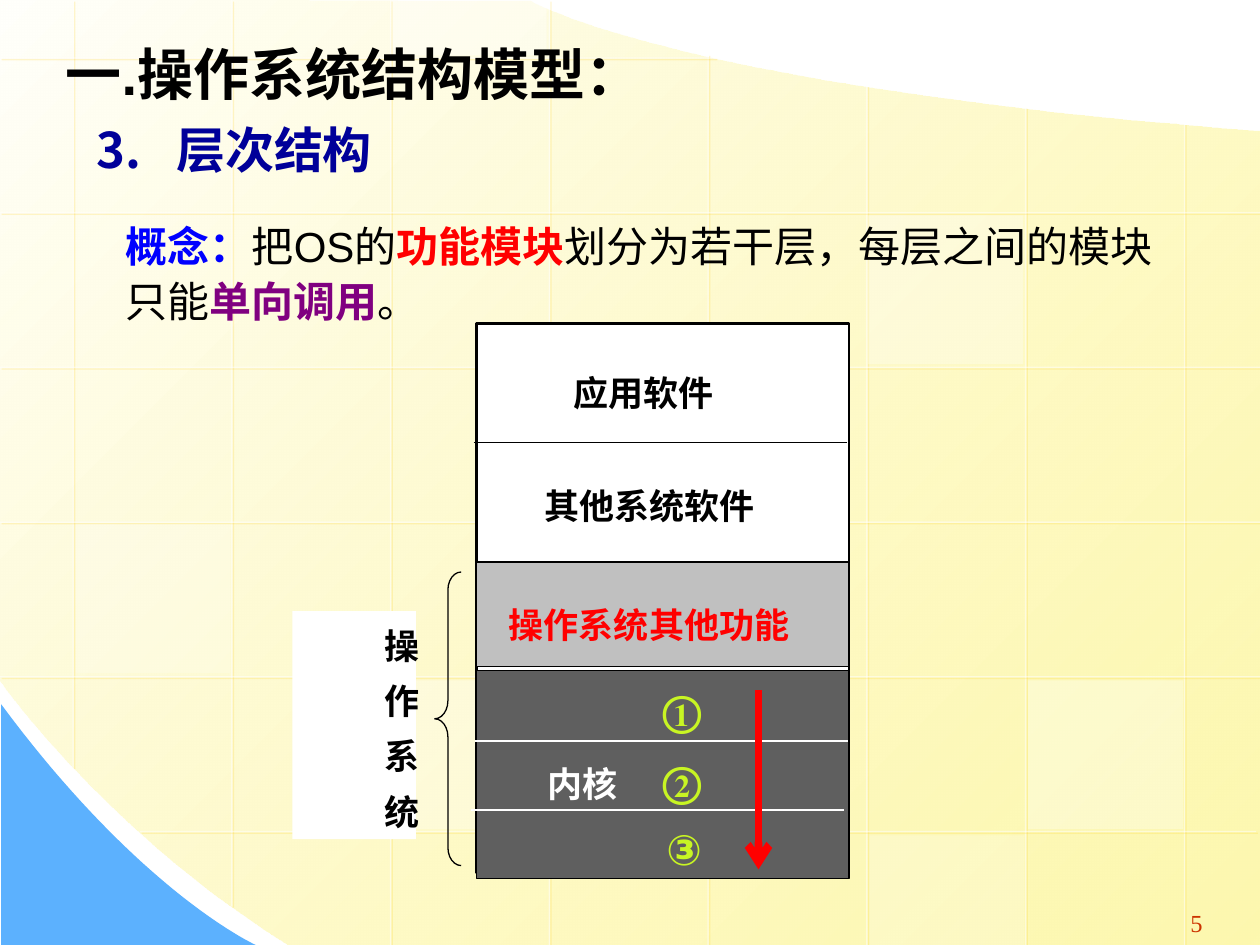
from lxml import etree
from pptx import Presentation
from pptx.dml.color import RGBColor
from pptx.enum.shapes import MSO_CONNECTOR, MSO_SHAPE
from pptx.enum.text import MSO_ANCHOR, PP_ALIGN
from pptx.oxml.ns import qn
from pptx.util import Inches, Pt

COLORS = {
    "white": "FFFFFF", "black": "000000", "cream": "FFFFFB", "yellow": "FDF58D",
    "sky": "5CB1FE", "gold": "FFCC00", "brick": "CC3300", "navy": "000099",
    "blue": "0000FF", "red": "FF0000", "purple": "800080", "lime": "C8F523",
    "silver": "C0C0C0", "gray": "5F5F5F",
}
SERIF = "Times New Roman"
SANS = "Arial"


def rgb(name):
    return RGBColor.from_string(COLORS[name])


def set_alpha(container, percent):
    for color in container.iter(qn("a:srgbClr")):
        etree.SubElement(color, qn("a:alpha")).set("val", str(percent * 1000))


def curve(start, control_1, control_2, end, steps=40):
    points = []
    for step in range(1, steps + 1):
        t = step / steps
        weights = ((1 - t) ** 3, 3 * t * (1 - t) ** 2, 3 * t * t * (1 - t), t ** 3)
        points.append(tuple(
            sum(weight * point[axis] for weight, point in
                zip(weights, (start, control_1, control_2, end)))
            for axis in (0, 1)))
    return points


def add_outline(slide, points):
    corners = [(Inches(x), Inches(y)) for x, y in points]
    builder = slide.shapes.build_freeform(*corners[0])
    builder.add_line_segments(corners[1:], close=True)
    shape = builder.convert_to_shape()
    shape.shadow.inherit = False
    shape.line.fill.background()
    return shape


def add_box(slide, box, fill=None, line=None, width=0.75, kind=MSO_SHAPE.RECTANGLE, alpha=None):
    shape = slide.shapes.add_shape(kind, *map(Inches, box))
    shape.shadow.inherit = False
    if fill:
        shape.fill.solid()
        shape.fill.fore_color.rgb = rgb(fill)
    else:
        shape.fill.background()
    if line:
        shape.line.color.rgb = rgb(line)
        shape.line.width = Pt(width)
    else:
        shape.line.fill.background()
    if alpha:
        set_alpha(shape.element.spPr, alpha)
    return shape


def add_line(slide, start, end, color, width):
    line = slide.shapes.add_connector(MSO_CONNECTOR.STRAIGHT, *map(Inches, start + end))
    line.line.color.rgb = rgb(color)
    line.line.width = Pt(width)
    etree.SubElement(line.element.spPr, qn("a:effectLst"))
    return line


def add_grid_line(slide, start, end):
    line = add_line(slide, start, end, "white", 0.75)
    effects = line.element.spPr.find(qn("a:effectLst"))
    shadow = etree.SubElement(effects, qn("a:outerShdw"), dist=str(Pt(1.4)), dir="2700000")
    etree.SubElement(shadow, qn("a:srgbClr"), val=COLORS["gold"])
    set_alpha(shadow, 34)
    set_alpha(line.element.spPr.find(qn("a:ln")), 50)


def format_runs(paragraph, size, font, color, bold=True):
    for run in paragraph.runs:
        run.font.size = Pt(size)
        run.font.name = font
        run.font.bold = bold
        run.font.color.rgb = rgb(color)


def indent(paragraph, left, first):
    properties = paragraph._p.get_or_add_pPr()
    properties.set("marL", str(Inches(left)))
    properties.set("indent", str(Inches(first)))


def add_text(slide, box, text, size, color, font=SERIF, bold=True, spacing=1.15,
             align=PP_ALIGN.JUSTIFY, left=1, first=-0.37, wrap=True):
    text_box = slide.shapes.add_textbox(*map(Inches, box))
    text_box.text_frame.word_wrap = wrap
    paragraph = text_box.text_frame.paragraphs[0]
    paragraph.text = text
    paragraph.alignment = align
    paragraph.line_spacing = spacing
    indent(paragraph, left, first)
    format_runs(paragraph, size, font, color, bold)
    return text_box


def add_background(slide):
    sheet = [(10, 1.04), (10, 7.5), (2.3, 7.5)]
    sheet += curve((2.3, 7.5), (0.86, 6.61), (-0.01, 5.39), (0, 5.39))
    sheet += [(-0.01, -0.01), (4.21, 0.01)]
    sheet += curve((4.21, 0.01), (4.21, 0.01), (5.37, 0.69), (10, 1.04))[:-1]
    page = add_outline(slide, sheet)
    page.fill.gradient()
    page.fill.gradient_angle = 315
    stops = page.fill.gradient_stops
    for stop, position, color in zip(stops, (0, 1), ("cream", "yellow")):
        stop.position = position
        stop.color.rgb = rgb(color)
    set_alpha(page.element.spPr.findall(".//" + qn("a:gs"))[1], 70)

    corner = [(0.01, 5.59), (0.01, 7.5), (2.03, 7.5)]
    corner += curve((2.03, 7.5), (2.03, 7.5), (1.12, 7.09), (0.01, 5.59))[:-1]
    wave = add_outline(slide, corner)
    wave.fill.solid()
    wave.fill.fore_color.rgb = rgb("sky")

    spans = [(0, 6.09), (0, 7.19), (0, 7.5), (0, 7.5), (0.43, 7.5), (0.68, 7.5),
             (0.85, 7.5), (0.98, 7.5)]
    for column, (top, bottom) in enumerate(spans):
        x = 0.58 + 1.26 * column
        add_grid_line(slide, (x, top), (x, bottom))
    for row, (left, right) in enumerate([(0, 5.68)] + [(0, 10)] * 4 + [(1.11, 9.97)]):
        y = 0.46 + 1.228 * row
        add_grid_line(slide, (right, y), (left, y))
    for left, top, height, alpha in [
            (8.16, 5.4, 1.18, 30), (0.6, 4.16, 1.18, 20), (6.9, 6.63, 0.87, 20),
            (3.11, 0, 0.44, 40), (3.12, 5.4, 1.18, 30), (6.89, 1.71, 1.18, 30)]:
        add_box(slide, (left, top, 1.23, height), "white", alpha=alpha)


def set_title(slide):
    title = slide.shapes.title
    slide.shapes.element.append(title.element)
    title.left, title.top, title.width, title.height = map(Inches, (0.42, 0.05, 9.18, 0.85))
    frame = title.text_frame
    frame.text = "一.操作系统结构模型："
    frame.vertical_anchor = MSO_ANCHOR.TOP
    paragraph = frame.paragraphs[0]
    paragraph.alignment = PP_ALIGN.LEFT
    paragraph.line_spacing = 1.4
    format_runs(paragraph, 32, SANS, "black")


def add_concept(slide):
    box = add_text(slide, (0.4, 1.66, 9.08, 1.17), "", 24, "black", SANS,
                   spacing=1.1, align=PP_ALIGN.LEFT, left=0.5, first=0)
    paragraph = box.text_frame.paragraphs[0]
    for text, color in [("概念：", "blue"), ("把OS的", "black"), ("功能模块", "red"),
                        ("划分为若干层，每层之间的模块只能", "black"),
                        ("单向调用", "purple"), ("。", "black")]:
        run = paragraph.add_run()
        run.text = text
        run.font.size = Pt(24)
        run.font.name = SANS
        run.font.bold = color != "black"
        run.font.color.rgb = rgb(color)


def add_system_label(slide):
    label = add_box(slide, (2.32, 4.85, 0.98, 1.81), "white")
    frame = label.text_frame
    frame.text = "\n".join("操作系统")
    for number, paragraph in enumerate(frame.paragraphs):
        paragraph.alignment = PP_ALIGN.JUSTIFY
        paragraph.line_spacing = 1.15
        if number:
            paragraph.space_before = Pt(4)
        indent(paragraph, 1, -0.37)
        format_runs(paragraph, 20, SERIF, "black")


def add_layers(slide):
    add_box(slide, (3.78, 2.57, 2.96, 4.36), "white", "black", 1.5)
    add_box(slide, (3.78, 4.46, 2.96, 0.83), "silver", "black")
    add_box(slide, (3.78, 5.32, 2.96, 1.65), "gray", "black")
    brace = add_box(slide, (3.45, 4.54, 0.21, 2.33), line="black", kind=MSO_SHAPE.LEFT_BRACE)
    brace.adjustments[0] = 0.68
    for left, y, color, width in [(3.76, 3.51, "black", 0.75), (3.78, 4.46, "black", 0.75),
                                  (3.77, 5.88, "white", 1.5), (3.74, 6.43, "white", 1.5)]:
        add_line(slide, (left, y), (left + 2.96, y), color, width)
    for left, top, width, text, color in [
            (3.82, 2.85, 2.29, "应用软件", "black"), (3.59, 3.75, 2.8, "其他系统软件", "black"),
            (3.31, 4.69, 3.41, "操作系统其他功能", "red"), (3.62, 5.95, 1.67, "内核", "white")]:
        add_text(slide, (left, top, width, 0.64), text, 20, color)
    arrow = add_line(slide, (6.02, 5.48), (6.02, 6.9), "red", 4.5)
    etree.SubElement(arrow.element.spPr.find(qn("a:ln")), qn("a:tailEnd"), type="arrow")
    for top, text in [(5.32, "①"), (5.89, "②")]:
        add_text(slide, (4.53, top, 1.1, 0.54), text, 24, "lime")
    add_text(slide, (5.16, 6.43, 0.54, 0.52), "③", 24, "lime", SANS,
             align=PP_ALIGN.CENTER, left=0, first=0, wrap=False)


def main():
    presentation = Presentation()
    presentation.slide_width, presentation.slide_height = Inches(10), Inches(7.5)
    slide = presentation.slides.add_slide(presentation.slide_layouts[5])
    add_background(slide)
    set_title(slide)
    add_text(slide, (0.04, 0.76, 3.39, 0.71), "3.\t层次结构", 28, "navy", "Noto Sans CJK SC",
             spacing=1.3, align=PP_ALIGN.LEFT, left=1.26, first=-0.63)
    add_concept(slide)
    add_system_label(slide)
    add_layers(slide)
    add_text(slide, (9.29, 7.12, 0.41, 0.38), "5", 14, "brick", bold=False,
             align=PP_ALIGN.CENTER, left=0, first=0)
    presentation.save("out.pptx")


if __name__ == "__main__":
    main()
